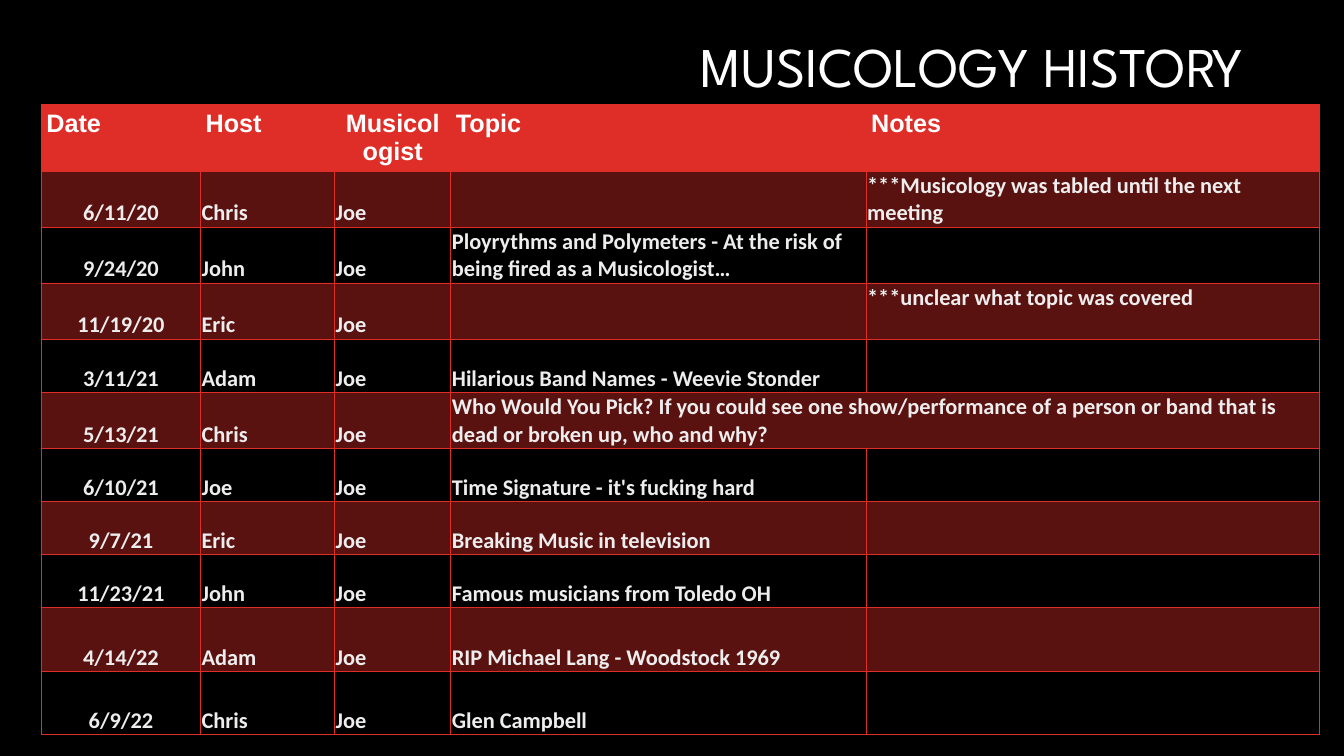
"""Build the Musicology History slide with its table of past sessions."""
import dataclasses

import pptx
import pptx.dml.color
import pptx.enum.text
import pptx.oxml
import pptx.oxml.ns
import pptx.util

Pt = pptx.util.Pt
RGB = pptx.dml.color.RGBColor.from_string
Align = pptx.enum.text.PP_ALIGN
Anchor = pptx.enum.text.MSO_ANCHOR


@dataclasses.dataclass(frozen=True)
class Theme:
    background: str = "000000"
    accent: str = "DF2E28"
    strong: str = "FFFFFF"
    soft: str = "EDEDED"
    title_font: str = "League Spartan"
    header_font: str = "Arial"
    body_font: str = "Calibri"
    title_size: float = 40
    header_size: float = 18
    body_size: float = 16
    border_width: float = 0.75
    band_opacity: int = 40


HEADERS = ["Date", "Host", "Musicologist", "Topic", "Notes"]
COLUMN_WIDTHS = [113.8, 95.8, 83, 296.6, 323.5]
HEADER_HEIGHT = 47.2
SESSIONS = [
    (40, "6/11/20", "Chris", "Joe", "", "***Musicology was tabled until the next meeting"),
    (40, "9/24/20", "John", "Joe",
     "Ployrythms and Polymeters - At the risk of being fired as a Musicologist…", ""),
    (40, "11/19/20", "Eric", "Joe", "", "***unclear what topic was covered"),
    (37.9, "3/11/21", "Adam", "Joe", "Hilarious Band Names - Weevie Stonder", ""),
    (40, "5/13/21", "Chris", "Joe",
     "Who Would You Pick? If you could see one show/performance of a person or band "
     "that is dead or broken up, who and why?", None),
    (37.9, "6/10/21", "Joe", "Joe", "Time Signature - it's fucking hard", ""),
    (37.9, "9/7/21", "Eric", "Joe", "Breaking Music in television", ""),
    (37.9, "11/23/21", "John", "Joe", "Famous musicians from Toledo OH", ""),
    (45.6, "4/14/22", "Adam", "Joe", "RIP Michael Lang - Woodstock 1969", ""),
    (45.6, "6/9/22", "Chris", "Joe", "Glen Campbell", ""),
]


class SlideBuilder:
    def __init__(self, slide, theme):
        self.slide = slide
        self.theme = theme
        slide.background.fill.solid()
        slide.background.fill.fore_color.rgb = RGB(theme.background)

    def add_span(self, para, text, font, size, color, bold, align):
        para.alignment = align
        span = para.add_run()
        span.text = text
        span.font.name = font
        span.font.size = Pt(size)
        span.font.bold = bold
        span.font.color.rgb = RGB(color)

    def title(self, text, left, top, width, height):
        theme = self.theme
        box = self.slide.shapes.title
        box.left, box.top, box.width, box.height = Pt(left), Pt(top), Pt(width), Pt(height)
        frame = box.text_frame
        frame.auto_size = pptx.enum.text.MSO_AUTO_SIZE.NONE
        frame.word_wrap = True
        frame.vertical_anchor = Anchor.BOTTOM
        frame.margin_left = frame.margin_right = Pt(3.6)
        frame.margin_top = frame.margin_bottom = Pt(3.6)
        para = frame.paragraphs[0]
        para.line_spacing = 0.9
        self.add_span(para, text, theme.title_font, theme.title_size, theme.strong,
                      False, Align.RIGHT)

    def border(self, cell):
        namespace = pptx.oxml.ns.nsdecls("a")
        properties = cell._tc.get_or_add_tcPr()
        for side in "LRTB":
            properties.append(pptx.oxml.parse_xml(
                f'<a:ln{side} {namespace} w="{Pt(self.theme.border_width)}"><a:solidFill>'
                f'<a:srgbClr val="{self.theme.accent}"/></a:solidFill></a:ln{side}>'))

    def shade(self, cell, opacity):
        if not opacity:
            cell.fill.background()
            return
        cell.fill.solid()
        cell.fill.fore_color.rgb = RGB(self.theme.accent)
        if opacity < 100:
            fill = cell._tc.tcPr.find(pptx.oxml.ns.qn("a:solidFill"))
            fill[0].append(pptx.oxml.parse_xml(
                f'<a:alpha {pptx.oxml.ns.nsdecls("a")} val="{opacity * 1000}"/>'))

    def header_cell(self, cell, text):
        theme = self.theme
        self.border(cell)
        self.shade(cell, 100)
        cell.margin_left = cell.margin_right = cell.margin_top = cell.margin_bottom = Pt(3.6)
        align = Align.CENTER if text == "Musicologist" else Align.LEFT
        self.add_span(cell.text_frame.paragraphs[0], text, theme.header_font,
                      theme.header_size, theme.strong, True, align)

    def body_cell(self, cell, text, align, anchor, banded):
        theme = self.theme
        self.border(cell)
        self.shade(cell, theme.band_opacity if banded else 0)
        cell.margin_left = cell.margin_right = cell.margin_top = Pt(0.75)
        cell.margin_bottom = 0
        cell.vertical_anchor = anchor
        if text:
            self.add_span(cell.text_frame.paragraphs[0], text, theme.body_font,
                          theme.body_size, theme.soft, True, align)

    def table(self, left, top, headers, widths, header_height, sessions):
        heights = [header_height] + [session[0] for session in sessions]
        table = self.slide.shapes.add_table(
            len(heights), len(widths), Pt(left), Pt(top),
            Pt(sum(widths)), Pt(sum(heights))).table
        for column, width in zip(table.columns, widths):
            column.width = Pt(width)
        for row, height in zip(table.rows, heights):
            row.height = Pt(height)
        for index, text in enumerate(headers):
            self.header_cell(table.cell(0, index), text)
        notes = len(headers) - 1
        for row, (_, *values) in enumerate(sessions, start=1):
            for index, text in enumerate(values):
                align = Align.CENTER if index == 0 else Align.LEFT
                anchor = Anchor.TOP if index == notes else Anchor.BOTTOM
                self.body_cell(table.cell(row, index), text, align, anchor, row % 2 == 1)
            if values[notes] is None:
                table.cell(row, notes - 1).merge(table.cell(row, notes))


def main():
    deck = pptx.Presentation()
    deck.slide_width, deck.slide_height = Pt(960), Pt(540)
    page = SlideBuilder(deck.slides.add_slide(deck.slide_layouts[5]), Theme())
    page.title("MUSICOLOGY HISTORY", 213.8, 12.2, 678.2, 62.6)
    page.table(29.5, 74.6, HEADERS, COLUMN_WIDTHS, HEADER_HEIGHT, SESSIONS)
    deck.save("out.pptx")


if __name__ == "__main__":
    main()
